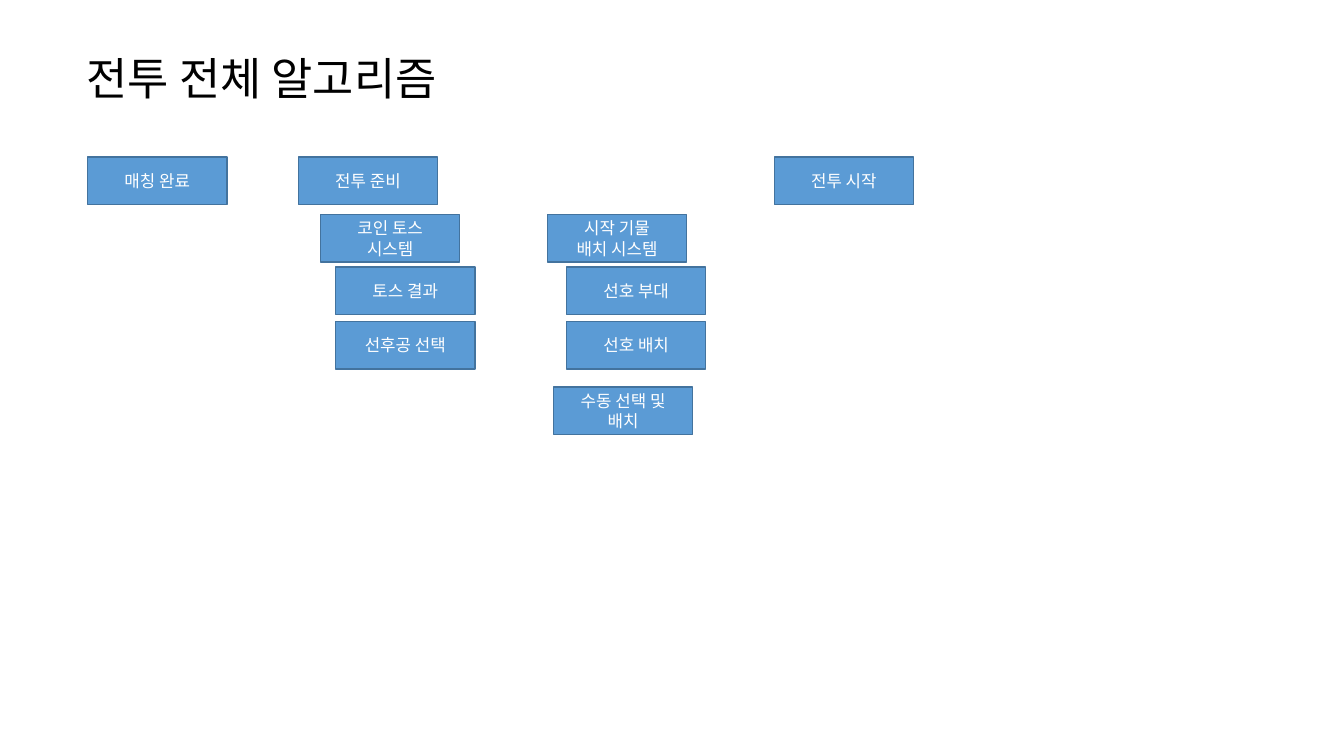
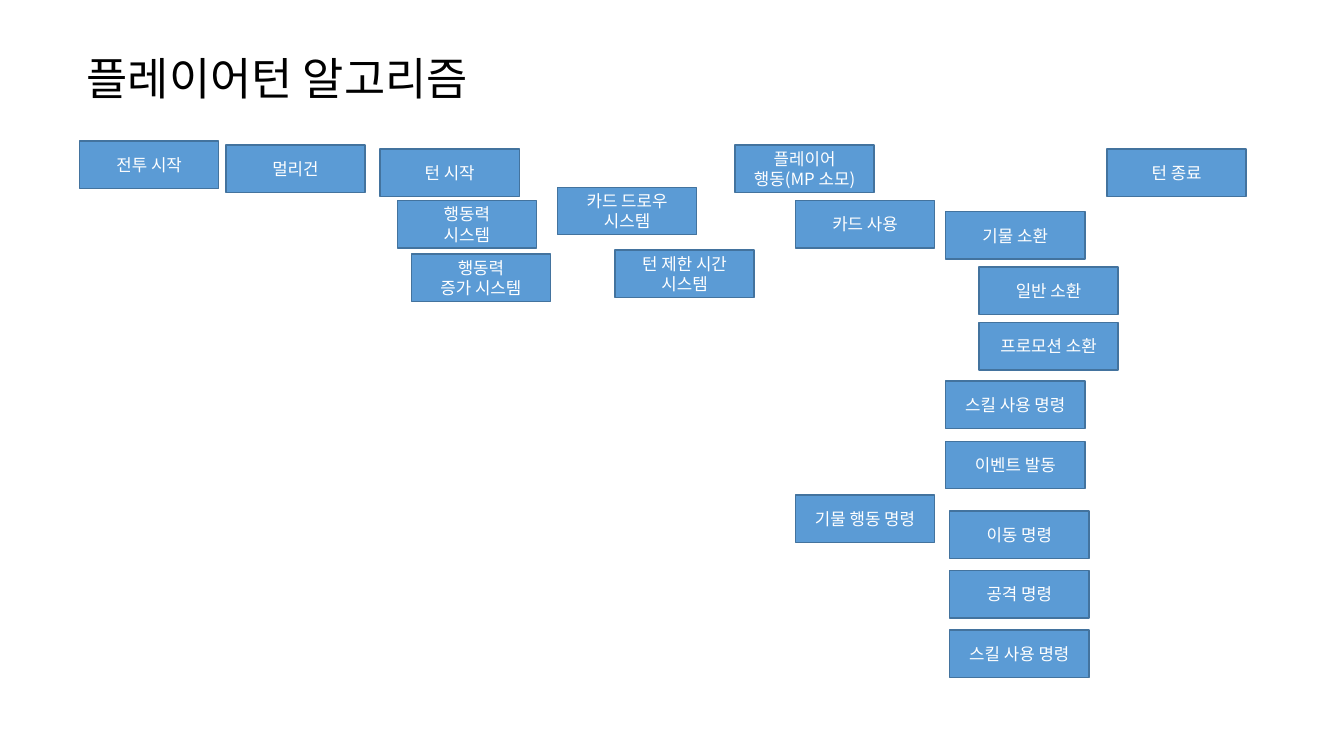
import dataclasses

import lxml.etree
import pptx
import pptx.dml.color
import pptx.enum.shapes
import pptx.enum.text
import pptx.oxml.ns
import pptx.util

Inches = pptx.util.Inches
Pt = pptx.util.Pt


@dataclasses.dataclass(frozen=True)
class Theme:
    font: str = "Noto Sans CJK KR"
    title_color: str = "000000"
    step_fill: str = "5B9BD5"
    step_line: str = "43739E"
    step_text: str = "FFFFFF"
    title_size: int = 32
    step_size: int = 12
    line_width: int = 1
    step_width: float = 1.38
    step_height: float = 0.47


THEME = Theme()

BATTLE_COLUMNS = [
    (0.87, [(1.56, "매칭 완료")]),
    (2.96, [(1.56, "전투 준비")]),
    (3.18, [(2.13, "코인 토스\n시스템")]),
    (3.33, [(2.65, "토스 결과"), (3.19, "선후공 선택")]),
    (5.43, [(2.13, "시작 기물\n배치 시스템")]),
    (5.62, [(2.65, "선호 부대"), (3.19, "선호 배치")]),
    (5.49, [(3.84, "수동 선택 및 배치")]),
    (7.68, [(1.56, "전투 시작")]),
]

TURN_COLUMNS = [
    (0.79, [(1.4, "전투 시작")]),
    (2.24, [(1.44, "멀리건")]),
    (3.77, [(1.48, "턴 시작")]),
    (3.94, [(1.99, "행동력\n시스템")]),
    (4.08, [(2.52, "행동력\n증가 시스템")]),
    (5.53, [(1.86, "카드 드로우\n시스템")]),
    (6.1, [(2.48, "턴 제한 시간 시스템")]),
    (7.29, [(1.44, "플레이어\n행동(MP 소모)")]),
    (7.89, [(1.99, "카드 사용"), (4.91, "기물 행동 명령")]),
    (9.38, [(2.1, "기물 소환"), (3.78, "스킬 사용 명령"), (4.38, "이벤트 발동")]),
    (9.71, [(2.65, "일반 소환"), (3.2, "프로모션 소환")]),
    (9.42, [(5.07, "이동 명령"), (5.66, "공격 명령"), (6.25, "스킬 사용 명령")]),
    (10.98, [(1.48, "턴 종료")]),
]


def rgb(code):
    return pptx.dml.color.RGBColor.from_string(code)


def write_lines(frame, text, size, color, alignment):
    frame.word_wrap = True
    frame.auto_size = pptx.enum.text.MSO_AUTO_SIZE.NONE
    frame.vertical_anchor = pptx.enum.text.MSO_ANCHOR.MIDDLE
    for index, line in enumerate(text.split("\n")):
        paragraph = frame.add_paragraph() if index else frame.paragraphs[0]
        paragraph.alignment = alignment
        run = paragraph.add_run()
        run.text = line
        run.font.size = Pt(size)
        run.font.color.rgb = rgb(color)
        run.font.name = THEME.font
        east_asian = lxml.etree.SubElement(
            run.font._element, pptx.oxml.ns.qn("a:ea")
        )
        east_asian.set("typeface", THEME.font)


def add_title(slide, text):
    title = slide.shapes.title
    title.left, title.top = Inches(0.76), Inches(0.42)
    title.width, title.height = Inches(11.81), Inches(0.69)
    write_lines(title.text_frame, text, THEME.title_size, THEME.title_color,
                pptx.enum.text.PP_ALIGN.LEFT)


def add_step(slide, left, top, label):
    step = slide.shapes.add_shape(
        pptx.enum.shapes.MSO_SHAPE.RECTANGLE,
        Inches(left), Inches(top),
        Inches(THEME.step_width), Inches(THEME.step_height),
    )
    step.shadow.inherit = False
    step.fill.solid()
    step.fill.fore_color.rgb = rgb(THEME.step_fill)
    step.line.color.rgb = rgb(THEME.step_line)
    step.line.width = Pt(THEME.line_width)
    write_lines(step.text_frame, label, THEME.step_size, THEME.step_text,
                pptx.enum.text.PP_ALIGN.CENTER)


def add_flow_slide(deck, title, columns):
    slide = deck.slides.add_slide(deck.slide_layouts.get_by_name("Title Only"))
    add_title(slide, title)
    for left, steps in columns:
        for top, label in steps:
            add_step(slide, left, top, label)


def main():
    deck = pptx.Presentation()
    deck.slide_width, deck.slide_height = Inches(13.33), Inches(7.5)
    add_flow_slide(deck, "전투 전체 알고리즘", BATTLE_COLUMNS)
    add_flow_slide(deck, "플레이어턴 알고리즘", TURN_COLUMNS)
    deck.save("out.pptx")


if __name__ == "__main__":
    main()
